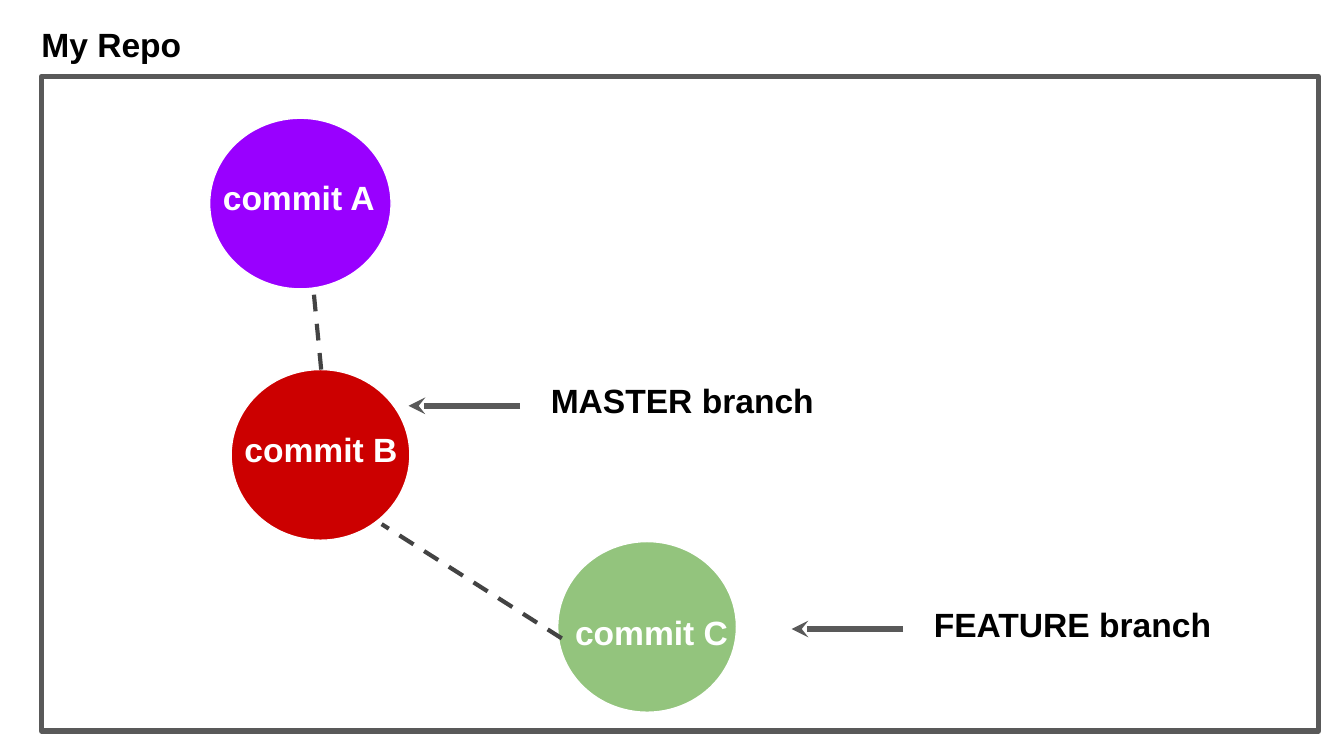
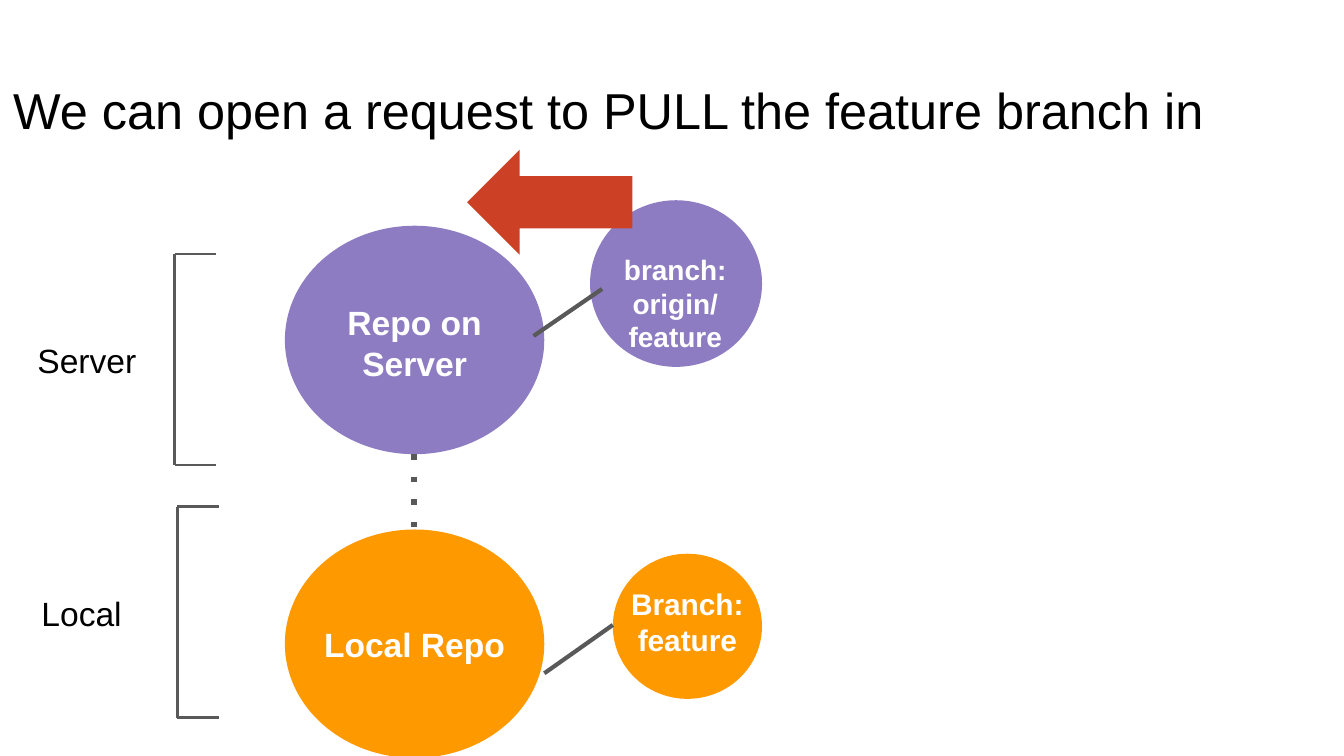
from dataclasses import dataclass

from lxml.etree import SubElement
from pptx import Presentation
from pptx.dml.color import RGBColor
from pptx.enum.shapes import MSO_CONNECTOR, MSO_SHAPE
from pptx.enum.text import MSO_ANCHOR, PP_ALIGN as Align
from pptx.oxml.ns import qn
from pptx.util import Inches, Pt


@dataclass(frozen=True)
class Theme:
    font: str = "Arial"
    black: str = "000000"
    white: str = "FFFFFF"
    gray: str = "595959"
    dark_gray: str = "434343"
    red: str = "CC0000"
    violet: str = "9900FF"
    green: str = "93C47D"
    lavender: str = "8E7CC3"
    orange: str = "FF9900"
    brick: str = "CC4125"
    title: float = 27
    label: float = 18
    local_branch: float = 16
    remote_branch: float = 15
    heavy: float = 3
    medium: float = 2.25
    thin: float = 1.5
    hairline: float = 0.75


THEME = Theme()


def color(value):
    return RGBColor.from_string(value)


def add_shape(page, kind, frame, fill, outline=None, width=0):
    shape = page.shapes.add_shape(kind, *map(Inches, frame))
    shape.shadow.inherit = False
    shape.fill.solid()
    shape.fill.fore_color.rgb = color(fill)
    if outline:
        shape.line.color.rgb = color(outline)
        shape.line.width = Pt(width)
    else:
        shape.line.fill.background()
    return shape


def add_text(page, frame, lines, size=THEME.label, ink=THEME.black, bold=False, align=Align.LEFT):
    text = page.shapes.add_textbox(*map(Inches, frame)).text_frame
    text.word_wrap = True
    text.vertical_anchor = MSO_ANCHOR.TOP
    text.margin_left = text.margin_right = text.margin_top = text.margin_bottom = Inches(0.1)
    text.text = "\n".join(lines)
    for para in text.paragraphs:
        para.alignment = align
        para.font.name = THEME.font
        para.font.size = Pt(size)
        para.font.bold = bold
        para.font.color.rgb = color(ink)


def add_line(page, start, end, width, ink=THEME.gray, dash=None, arrow=None):
    line = page.shapes.add_connector(MSO_CONNECTOR.STRAIGHT, *map(Inches, start + end))
    line.line.color.rgb = color(ink)
    line.line.width = Pt(width)
    properties = line._element.spPr
    outline = properties.find(qn("a:ln"))
    if dash:
        SubElement(outline, qn("a:prstDash")).set("val", dash)
    if arrow:
        SubElement(outline, qn("a:tailEnd")).set("type", arrow)
    SubElement(properties, qn("a:effectLst"))


def add_commit(page, name, left, top, width, fill, label_shift=(0, 0.34)):
    add_shape(page, MSO_SHAPE.OVAL, (left, top, width, 1.27), fill, THEME.white, THEME.hairline)
    label_frame = (left + label_shift[0], top + label_shift[1], width + 0.12, 0.6)
    add_text(page, label_frame, [name], ink=THEME.white, bold=True)


def add_history(page, start, end):
    add_line(page, start, end, THEME.medium, THEME.dark_gray, dash="dash")


def add_branch_pointer(page, name, left, top):
    add_line(page, (left + 0.83, top), (left, top), THEME.heavy, arrow="stealth")
    add_text(page, (left + 0.96, top - 0.29, 2.33, 0.6), [name], bold=True)


def add_repo(page, name, top, label_top, fill):
    add_shape(page, MSO_SHAPE.OVAL, (2.12, top, 1.93, 1.7), fill)
    add_text(page, (2.12, label_top, 1.93, 0.95), [name], ink=THEME.white, bold=True, align=Align.CENTER)


def add_branch(page, lines, circle, label_corner, size, fill):
    add_shape(page, MSO_SHAPE.OVAL, circle, fill)
    add_text(page, label_corner + (1.93, 0.95), lines, size, THEME.white, True, Align.CENTER)


def add_place(page, name, label_left, left, top):
    add_text(page, (label_left, top + 0.54, 0.98, 0.63), [name])
    bottom = top + 1.57
    add_line(page, (left, top), (left, bottom), THEME.thin)
    for level in (top, bottom):
        add_line(page, (left, level), (left + 0.31, level), THEME.thin)


def build_commit_slide(page):
    add_shape(page, MSO_SHAPE.RECTANGLE, (0.31, 0.57, 9.5, 4.87), THEME.white, THEME.gray, THEME.heavy)
    add_text(page, (0.21, 0.08, 3.34, 0.6), ["My Repo"], bold=True)
    add_commit(page, "commit B", 1.72, 2.75, 1.33, THEME.red)
    add_history(page, (2.39, 2.75), (2.3, 1.82))
    add_commit(page, "commit A", 1.56, 0.88, 1.35, THEME.violet)
    add_branch_pointer(page, "MASTER branch", 3.04, 3.02)
    add_commit(page, "commit C", 4.15, 4.03, 1.33, THEME.green, (0.03, 0.42))
    add_history(page, (4.18, 4.75), (2.84, 3.9))
    add_branch_pointer(page, "FEATURE branch", 5.89, 4.68)


def build_pull_slide(page):
    add_text(page, (0, 0.49, 10, 0.63), ["We can open a request to PULL the feature branch in"], THEME.title)
    add_repo(page, "Repo on Server", 1.68, 2.15, THEME.lavender)
    add_place(page, "Server", 0.18, 1.3, 1.89)
    add_place(page, "Local", 0.21, 1.32, 3.77)
    add_repo(page, "Local Repo", 3.94, 4.54, THEME.orange)
    add_line(page, (3.08, 3.38), (3.08, 3.94), THEME.heavy, dash="dot")
    add_branch(page, ["Branch:", "feature"], (4.56, 4.12, 1.11, 1.08), (4.15, 4.26),
               THEME.local_branch, THEME.orange)
    add_line(page, (4.05, 5.01), (4.56, 4.65), THEME.medium)
    add_branch(page, ["branch:", "origin/", "feature"], (4.39, 1.49, 1.28, 1.24), (4.06, 1.78),
               THEME.remote_branch, THEME.lavender)
    add_line(page, (3.97, 2.5), (4.48, 2.15), THEME.medium)
    pull_arrow = add_shape(page, MSO_SHAPE.DOWN_ARROW, (3.7, 0.89, 0.78, 1.23), THEME.brick)
    pull_arrow.rotation = 90


def main():
    deck = Presentation()
    deck.slide_width = Inches(10)
    deck.slide_height = Inches(10 * 9 / 16)
    blank = deck.slide_layouts[6]
    for build in (build_commit_slide, build_pull_slide):
        build(deck.slides.add_slide(blank))
    deck.save("out.pptx")


if __name__ == "__main__":
    main()
